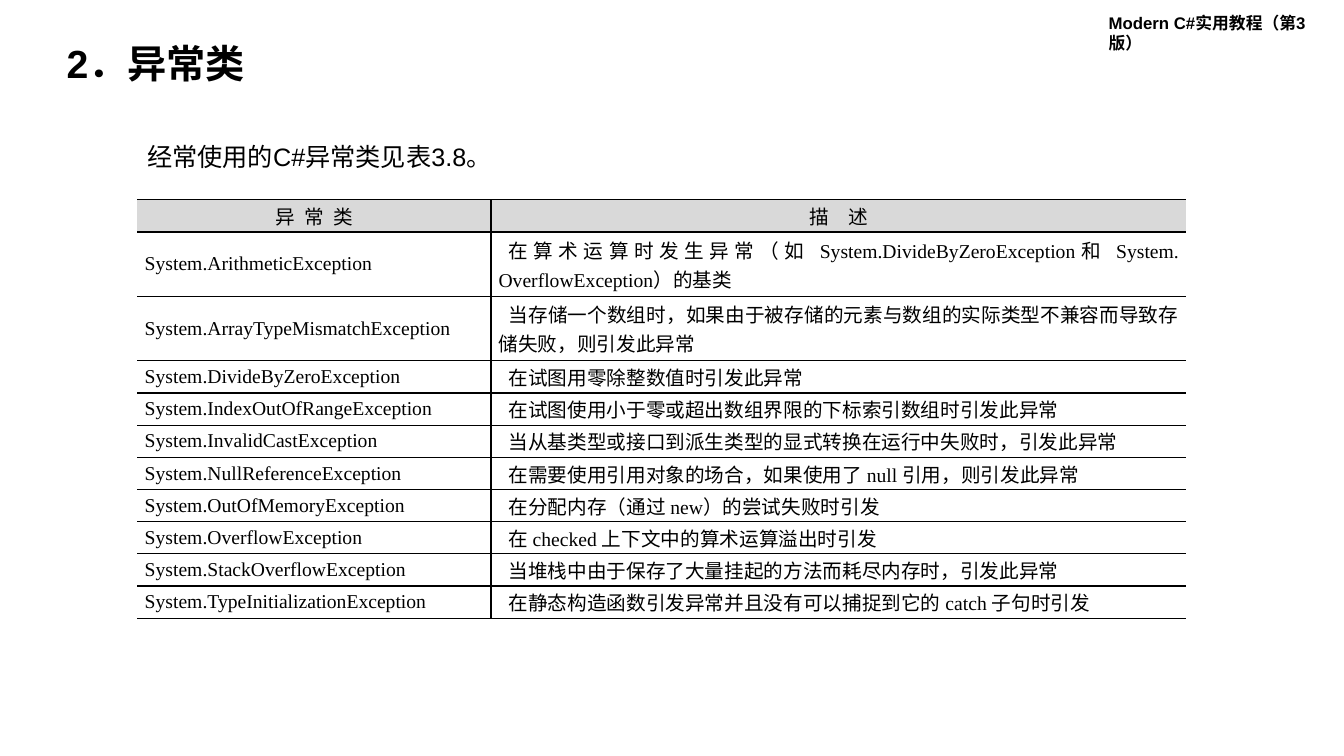
from lxml import etree
from pptx import Presentation
from pptx.dml.color import RGBColor
from pptx.enum import text
from pptx.oxml import ns
from pptx.util import Pt

COLORS = {"ink": "000000", "header": "D9D9D9"}
BOOK = "Modern C#实用教程（第3版）"
TITLE = "2．异常类"
INTRO = "经常使用的C#异常类见表3.8。"
HEADINGS = [("异 常 类", 1.75), ("描 述", 5.25)]  # label, letter spacing
EXCEPTIONS = [
    ("System.ArithmeticException",
     "在算术运算时发生异常（如 System.DivideByZeroException和 System. OverflowException）的基类"),
    ("System.ArrayTypeMismatchException",
     "当存储一个数组时，如果由于被存储的元素与数组的实际类型不兼容而导致存储失败，则引发此异常"),
    ("System.DivideByZeroException", "在试图用零除整数值时引发此异常"),
    ("System.IndexOutOfRangeException", "在试图使用小于零或超出数组界限的下标索引数组时引发此异常"),
    ("System.InvalidCastException", "当从基类型或接口到派生类型的显式转换在运行中失败时，引发此异常"),
    ("System.NullReferenceException", "在需要使用引用对象的场合，如果使用了 null 引用，则引发此异常"),
    ("System.OutOfMemoryException", "在分配内存（通过 new）的尝试失败时引发"),
    ("System.OverflowException", "在 checked 上下文中的算术运算溢出时引发"),
    ("System.StackOverflowException", "当堆栈中由于保存了大量挂起的方法而耗尽内存时，引发此异常"),
    ("System.TypeInitializationException", "在静态构造函数引发异常并且没有可以捕捉到它的 catch 子句时引发"),
]
TABLE_LEFT, TABLE_TOP = 98, 142.75
COLUMN_WIDTHS = [252.75, 496.75]
ROW_HEIGHT = 23
TALL_ROWS = (1, 2)
CELL_INSET = 5.4
FIRST_LINE_INDENT = 7.2
NO_STYLE = "{2D5ABB26-0587-4C30-8999-92F81FD0307C}"


def write(paragraph, words, size, font="Arial", bold=False):
    span = paragraph.add_run()
    span.text = words
    span.font.size = Pt(size)
    span.font.name = font
    span.font.bold = bold
    span.font.color.rgb = RGBColor.from_string(COLORS["ink"])
    return span


def add_label(page, place, words, size, bold=False):
    box = page.shapes.add_textbox(*map(Pt, place))
    box.text_frame.word_wrap = True
    write(box.text_frame.paragraphs[0], words, size, bold=bold)


def add_borders(cell, sides):
    properties = cell._tc.get_or_add_tcPr()
    for side in sides:
        line = etree.SubElement(properties, ns.qn(f"a:ln{side}"), w=str(Pt(1)))
        fill = etree.SubElement(line, ns.qn("a:solidFill"))
        etree.SubElement(fill, ns.qn("a:srgbClr"), val=COLORS["ink"])


def format_cell(cell, column, is_header):
    cell.margin_left = cell.margin_right = Pt(CELL_INSET)
    cell.margin_top = cell.margin_bottom = 0
    cell.vertical_anchor = text.MSO_ANCHOR.MIDDLE
    add_borders(cell, "LTB" if column else "RTB")
    if is_header:
        cell.fill.solid()
        cell.fill.fore_color.rgb = RGBColor.from_string(COLORS["header"])
    else:
        cell.fill.background()


def add_exception_table(page):
    heights = [ROW_HEIGHT * (2 if row in TALL_ROWS else 1)
               for row in range(len(EXCEPTIONS) + 1)]
    frame = page.shapes.add_table(
        len(heights), len(COLUMN_WIDTHS), Pt(TABLE_LEFT), Pt(TABLE_TOP),
        Pt(sum(COLUMN_WIDTHS)), Pt(sum(heights)))
    table = frame.table
    table.horz_banding = False
    table._tbl.tblPr.find(ns.qn("a:tableStyleId")).text = NO_STYLE
    for column, width in zip(table.columns, COLUMN_WIDTHS):
        column.width = Pt(width)
    for row, height in zip(table.rows, heights):
        row.height = Pt(height)

    for column, (label, spacing) in enumerate(HEADINGS):
        cell = table.cell(0, column)
        format_cell(cell, column, is_header=True)
        para = cell.text_frame.paragraphs[0]
        para.alignment = text.PP_ALIGN.CENTER
        span = write(para, label, 14, "Times New Roman")
        span.font._element.set("spc", str(round(spacing * 100)))

    for row, entry in enumerate(EXCEPTIONS, start=1):
        for column, words in enumerate(entry):
            cell = table.cell(row, column)
            format_cell(cell, column, is_header=False)
            para = cell.text_frame.paragraphs[0]
            para.alignment = text.PP_ALIGN.JUSTIFY
            if column:
                para._p.get_or_add_pPr().set("indent", str(Pt(FIRST_LINE_INDENT)))
            write(para, words, 14, "Times New Roman")


def main():
    deck = Presentation()
    deck.slide_width, deck.slide_height = Pt(960), Pt(540)
    page = deck.slides.add_slide(deck.slide_layouts[5])

    add_label(page, (784.8, 5.75, 175.2, 21.6), BOOK, 12, bold=True)

    title = page.shapes.title
    title.left, title.top, title.width, title.height = map(Pt, (40.3, 28, 456.5, 37.5))
    title.text_frame.vertical_anchor = text.MSO_ANCHOR.MIDDLE
    title.text_frame.auto_size = text.MSO_AUTO_SIZE.NONE
    heading = title.text_frame.paragraphs[0]
    heading.alignment = text.PP_ALIGN.LEFT
    heading.line_spacing = 0.9
    write(heading, TITLE, 28, bold=True)

    add_label(page, (98, 97.2, 262.8, 28.8), INTRO, 18)
    add_exception_table(page)
    deck.save("out.pptx")


if __name__ == "__main__":
    main()
